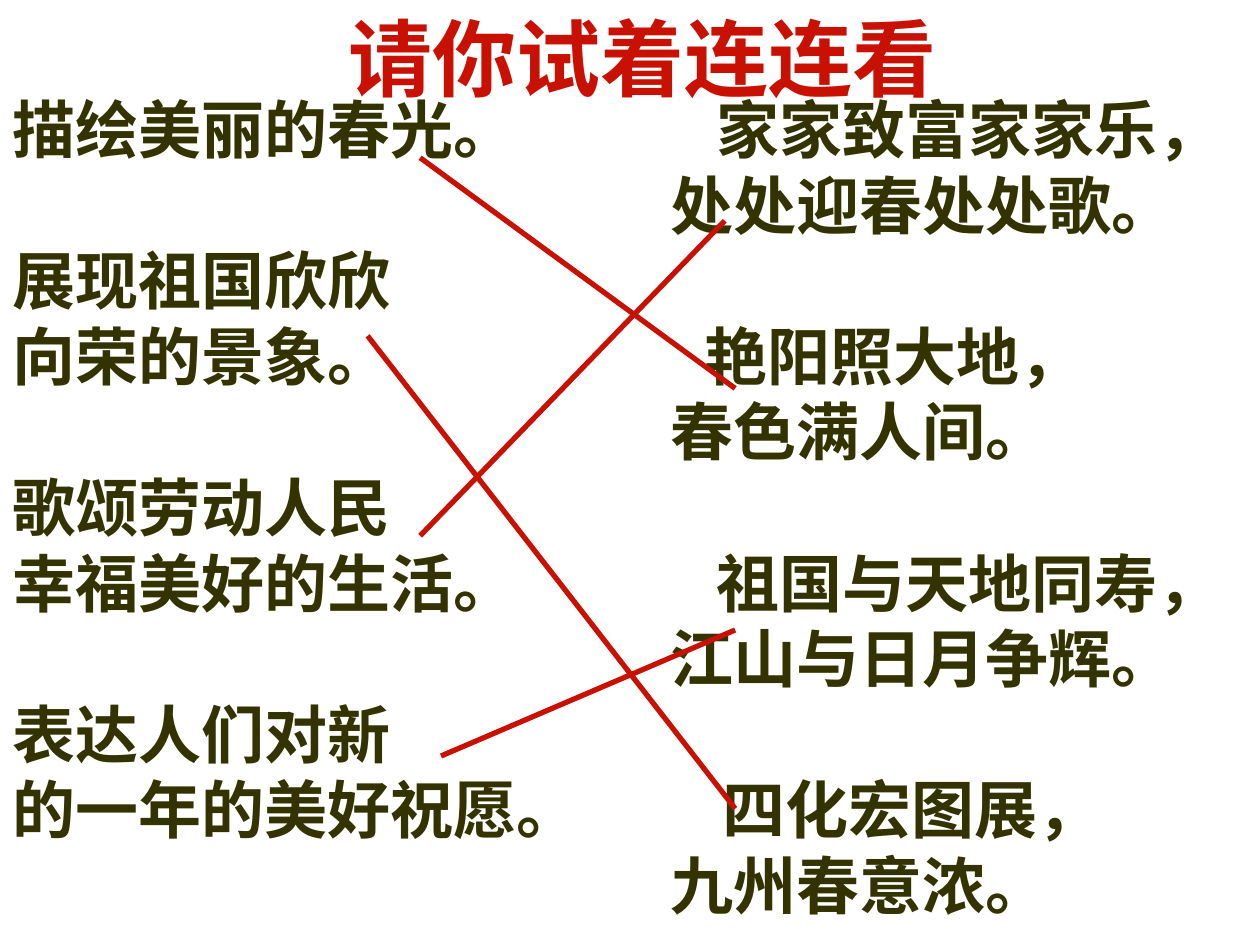
import pptx
import pptx.util
import pptx.dml.color
import pptx.enum.shapes
import pptx.enum.text
import pptx.oxml
import pptx.oxml.xmlchemy

RED = "C91103"
OLIVE = "333300"
FONT = "Times New Roman"
CLOSING_TAB = 13.26

ROWS = [
    ("描绘美丽的春光。", "家家致富家家乐，", 14.2),
    ("", "处处迎春处处歌。", CLOSING_TAB),
    ("展现祖国欣欣", "", None),
    ("向荣的景象。", "艳阳照大地，", 13.96),
    ("", "春色满人间。", CLOSING_TAB),
    ("歌颂劳动人民", "", None),
    ("幸福美好的生活。", "祖国与天地同寿，", 14.2),
    ("", "江山与日月争辉。", CLOSING_TAB),
    ("表达人们对新", "", None),
    ("的一年的美好祝愿。", "四化宏图展，", 14.32),
    ("", "九州春意浓。", CLOSING_TAB),
]

MATCHES = [
    (8.47, 3.18, 14.82, 7.83),
    (7.41, 6.77, 14.82, 16.3),
    (8.47, 10.8, 14.61, 4.45),
    (8.89, 15.24, 14.82, 12.7),
]


def color(value):
    return pptx.dml.color.RGBColor.from_string(value)


def add_text(p, text, size=36, fill=OLIVE, bold=True, tab=None):
    if tab is not None:
        tabs = pptx.oxml.parse_xml(
            '<a:tabLst xmlns:a="http://schemas.openxmlformats.org/drawingml/2006/main">'
            f'<a:tab pos="{pptx.util.Cm(tab)}" algn="l"/></a:tabLst>'
        )
        p._p.get_or_add_pPr().append(tabs)
    r = p.add_run()
    r.text = text
    r.font.name = FONT
    r.font.size = pptx.util.Pt(size)
    r.font.bold = bold
    r.font.color.rgb = color(fill)


def add_box(s, left, top, width, height, wrap):
    sp = s.shapes.add_textbox(*map(pptx.util.Cm, (left, top, width, height)))
    tf = sp.text_frame
    tf.word_wrap = wrap
    tf.auto_size = pptx.enum.text.MSO_AUTO_SIZE.SHAPE_TO_FIT_TEXT
    return tf


def add_title(s, left, top, width, height):
    tf = add_box(s, left, top, width, height, False)
    add_text(tf.paragraphs[0], "请你试着连连看", size=48, fill=RED)


def add_couplets(s, left, top, width, height):
    tf = add_box(s, left, top, width, height, True)
    for i, (meaning, verse, tab) in enumerate(ROWS):
        p = tf.add_paragraph() if i else tf.paragraphs[0]
        add_text(p, f"{meaning}\t{verse}" if verse else meaning, tab=tab)


def add_matches(s, left, top):
    for x1, y1, x2, y2 in MATCHES:
        ends = (left + x1, top + y1, left + x2, top + y2)
        line = s.shapes.add_connector(
            pptx.enum.shapes.MSO_CONNECTOR.STRAIGHT, *map(pptx.util.Cm, ends)
        )
        line.line.color.rgb = color(RED)
        line.line.width = pptx.util.Pt(3)
        line._element.spPr.append(pptx.oxml.xmlchemy.OxmlElement("a:effectLst"))


def main():
    prs = pptx.Presentation()
    prs.slide_width = pptx.util.Cm(25.4)
    prs.slide_height = pptx.util.Cm(19.05)
    s = prs.slides.add_slide(prs.slide_layouts[6])
    add_title(s, 6.77, 0, 12.5, 4.32)
    add_couplets(s, 0, 1.7, 25.4, 29.21)
    add_matches(s, 0, 0)
    prs.save("out.pptx")


if __name__ == "__main__":
    main()
